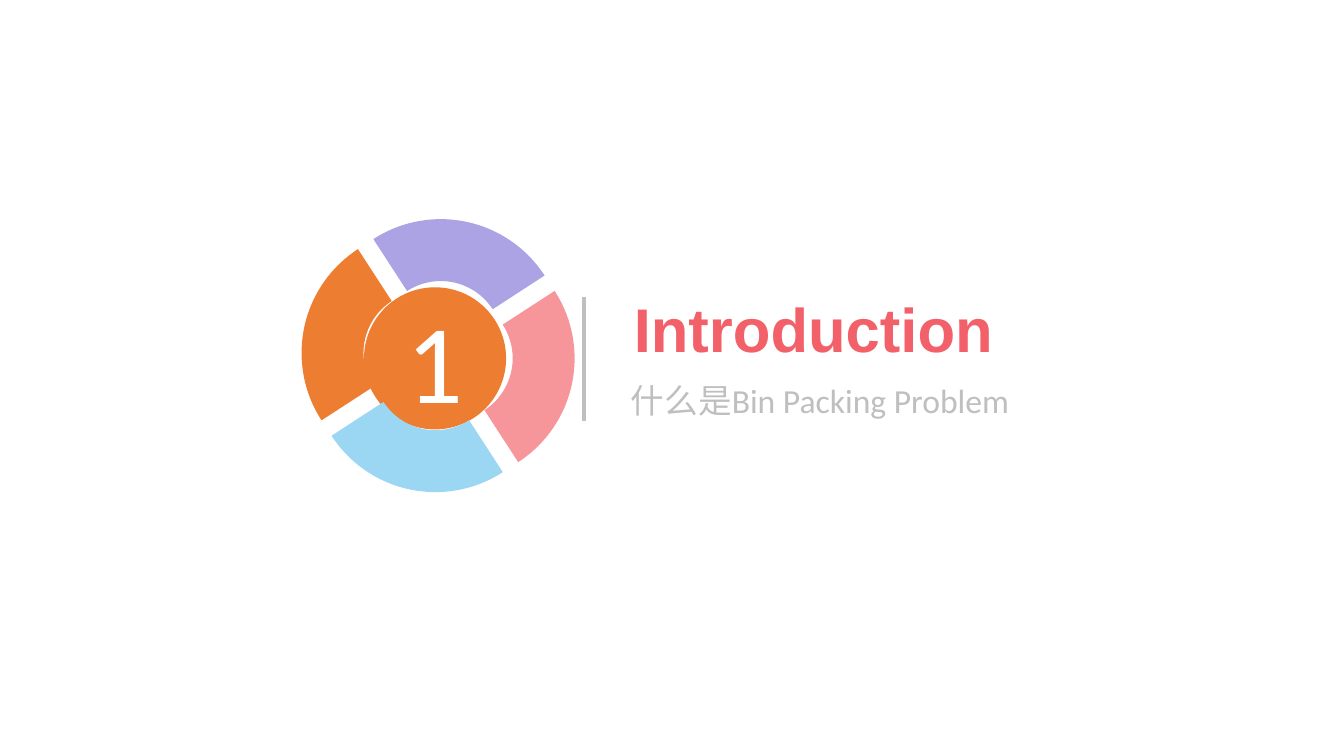
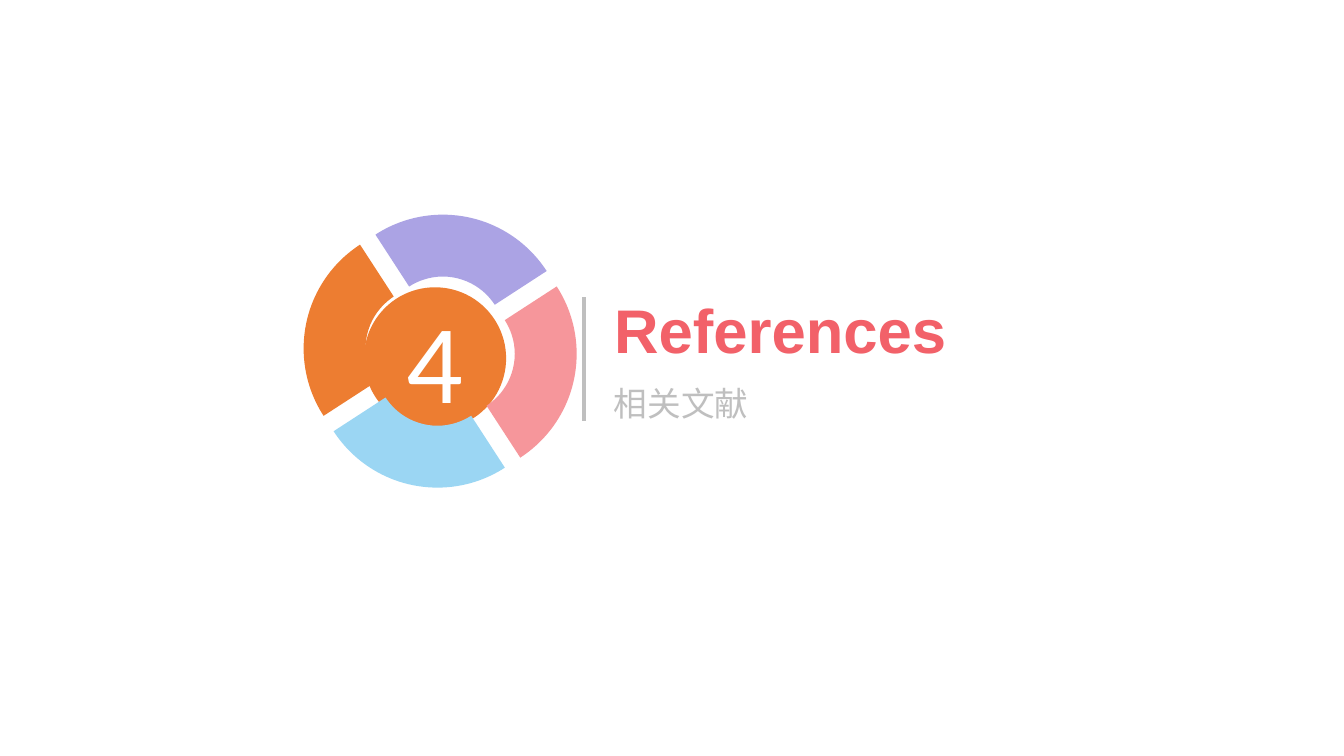
from dataclasses import dataclass

from lxml import etree
from pptx import Presentation
from pptx.chart.data import CategoryChartData
from pptx.dml.color import RGBColor
from pptx.enum.chart import XL_CHART_TYPE
from pptx.enum.shapes import MSO_CONNECTOR, MSO_SHAPE
from pptx.enum.text import MSO_ANCHOR, MSO_AUTO_SIZE, PP_ALIGN
from pptx.oxml import parse_xml
from pptx.oxml.ns import nsdecls, qn
from pptx.util import Inches, Pt

LEFT, CENTER = PP_ALIGN.LEFT, PP_ALIGN.CENTER
MIDDLE = MSO_ANCHOR.MIDDLE
GROW = MSO_AUTO_SIZE.SHAPE_TO_FIT_TEXT
OVAL = MSO_SHAPE.OVAL
STRAIGHT = MSO_CONNECTOR.STRAIGHT
DOUGHNUT = XL_CHART_TYPE.DOUGHNUT


@dataclass(frozen=True)
class Theme:
    accent: str = "ED7D31"
    gray: str = "BFBFBF"
    ring: tuple = ("F6969B", "9BD6F3", "ED7D31", "ABA3E4")
    title: tuple = ("Arial", 44, "F26169", True)
    note: tuple = ("Calibri", 24, "BFBFBF", False)
    digit: tuple = ("Calibri", 80, "FFFFFF", False)
    label: tuple = ("Calibri", 18, "000000", False)


THEME = Theme()
SECTIONS = [
    {
        "digit": "1",
        "title": ("Introduction", (5.98, 2.84, 4.18, 0.84)),
        "note": ("什么是Bin Packing Problem", (6.16, 3.72, 5.13, 0.5)),
        "ring": (2.8, 1.86, 3.03, 3.12),
        "plot": {"x": 0.06, "y": 0.1, "w": 0.9, "h": 0.87},
    },
    {
        "digit": "4",
        "title": ("References", (4.32, 2.85, 6.84, 0.84)),
        "note": ("相关文献", (5.99, 3.75, 5.13, 0.5)),
        "ring": (2.76, 1.94, 3.03, 3.12),
        "plot": {"x": 0.08, "y": 0.06, "w": 0.9, "h": 0.87},
    },
]
DISC = (3.61, 2.85, 1.41, 1.41)
RULE = (5.79, 2.95, 5.79, 4.18)
SHARES = (25, 25, 25, 25)
START, HOLE, BURST = 57, 86, 21


def inches(box):
    return [Inches(v) for v in box]


def set_font(font, style):
    name, size, color, bold = style
    for key, value in {"name": name, "size": Pt(size), "bold": bold}.items():
        setattr(font, key, value)
    font.color.rgb = RGBColor.from_string(color)


def write(shape, text, style, align):
    para = shape.text_frame.paragraphs[0]
    para.alignment = align
    run = para.add_run()
    run.text = text
    set_font(run.font, style)


def add_text(slide, item, style, align):
    text, box = item
    shape = slide.shapes.add_textbox(*inches(box))
    shape.text_frame.word_wrap = True
    shape.text_frame.auto_size = GROW
    write(shape, text, style, align)


def add_rule(slide):
    line = slide.shapes.add_connector(STRAIGHT, *inches(RULE))
    line.line.width = Pt(3)
    line.line.color.rgb = RGBColor.from_string(THEME.gray)
    etree.SubElement(line._element.spPr, qn("a:effectLst"))


def add_disc(slide, digit):
    disc = slide.shapes.add_shape(OVAL, *inches(DISC))
    disc.shadow.inherit = False
    disc.fill.solid()
    disc.fill.fore_color.rgb = RGBColor.from_string(THEME.accent)
    disc.line.fill.background()
    disc.text_frame.vertical_anchor = MIDDLE
    write(disc, digit, THEME.digit, CENTER)


def place_plot(chart, plot):
    """Fix the inner plot area as fractions of the chart frame."""
    area = chart._chartSpace.find(".//" + qn("c:plotArea"))
    for old in area.findall(qn("c:layout")):
        area.remove(old)
    modes = "".join(f'<c:{k}Mode val="edge"/>' for k in "xy")
    sizes = "".join(f'<c:{k} val="{v}"/>' for k, v in plot.items())
    area.insert(0, parse_xml(
        f'<c:layout {nsdecls("c")}><c:manualLayout>'
        f'<c:layoutTarget val="inner"/>{modes}{sizes}'
        '</c:manualLayout></c:layout>'))


def add_ring(slide, box, plot):
    data = CategoryChartData()
    data.categories = [str(n + 1) for n in range(len(SHARES))]
    data.add_series("Series 1", SHARES)
    chart = slide.shapes.add_chart(DOUGHNUT, *inches(box), data).chart
    chart.has_title = chart.has_legend = False
    set_font(chart.font, THEME.label)
    rings = chart.plots[0]
    rings.vary_by_categories = True
    series = rings.series[0]
    for i, color in enumerate(THEME.ring):
        look = series.points[i].format
        look.fill.solid()
        look.fill.fore_color.rgb = RGBColor.from_string(color)
        look.line.fill.background()
    burst = parse_xml(f'<c:explosion {nsdecls("c")} val="{BURST}"/>')
    series._element.find(qn("c:dPt")).addprevious(burst)
    for tag, value in {"c:firstSliceAng": START, "c:holeSize": HOLE}.items():
        rings._element.find(qn(tag)).set("val", str(value))
    place_plot(chart, plot)


def add_section(deck, part):
    slide = deck.slides.add_slide(deck.slide_layouts[6])
    add_text(slide, part["note"], THEME.note, LEFT)
    add_text(slide, part["title"], THEME.title, CENTER)
    add_rule(slide)
    add_disc(slide, part["digit"])
    add_ring(slide, part["ring"], part["plot"])


def main():
    deck = Presentation()
    deck.slide_width, deck.slide_height = Inches(13.33), Inches(7.5)
    for part in SECTIONS:
        add_section(deck, part)
    deck.save("out.pptx")


if __name__ == "__main__":
    main()
